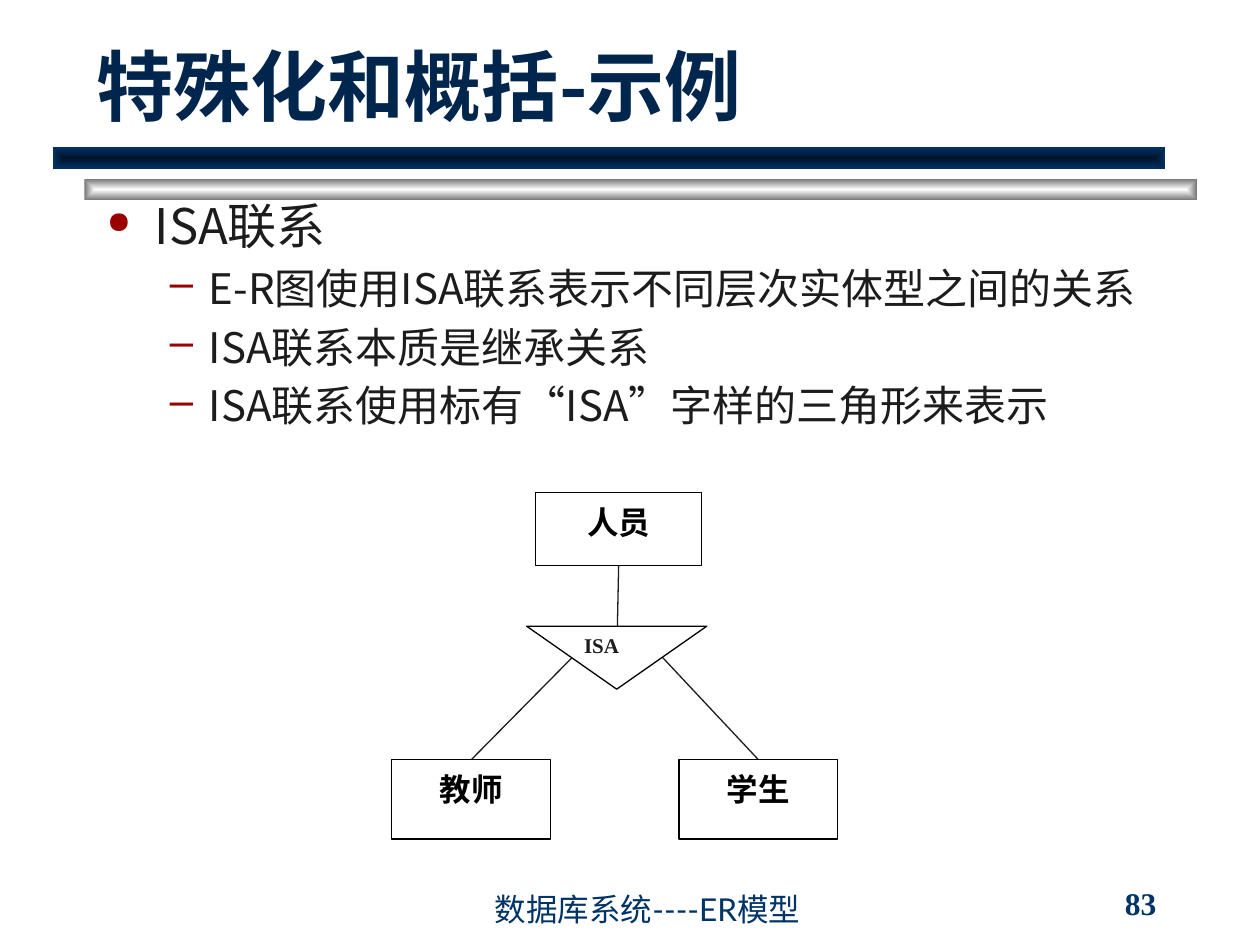
from dataclasses import dataclass

from lxml.etree import SubElement
from pptx import Presentation
from pptx.dml.color import RGBColor
from pptx.enum.shapes import MSO_CONNECTOR as Connector, MSO_SHAPE as Preset
from pptx.enum.text import MSO_ANCHOR as Anchor, PP_ALIGN as Align
from pptx.oxml import parse_xml
from pptx.oxml.ns import nsdecls, qn
from pptx.util import Inches, Pt

COLORS = {
    "title": "00264D",
    "navy": "003366",
    "deep_navy": "00142A",
    "gray": "767676",
    "white": "FFFFFF",
    "black": "000000",
    "ink": "1C1C1C",
    "bullet": "990000",
}
SERIF = "Times New Roman"
SANS = "Noto Sans CJK SC"
INSETS = (0.1, 0.05, 0.1, 0.05)


@dataclass
class Box:
    left: float
    top: float
    width: float
    height: float

    def lengths(self):
        return [Inches(v) for v in (self.left, self.top, self.width, self.height)]


@dataclass
class Bar:
    box: Box
    center: str
    edge: str


@dataclass
class Node:
    text: str
    box: Box
    preset: Preset = Preset.RECTANGLE
    size: int = 18
    color: str = "black"
    align: Align = Align.CENTER
    insets: tuple = (0, 0.08, 0, 0.05)


@dataclass
class Link:
    start: tuple
    end: tuple


@dataclass
class Level:
    margin: float
    indent: float
    symbol: str
    percent: int
    size: int


@dataclass
class Bullet:
    text: str
    level: int


BARS = [
    Bar(Box(0.67, 1.42, 8.83, 0.17), "white", "gray"),
    Bar(Box(0.42, 1.17, 8.83, 0.17), "deep_navy", "navy"),
]
LEVELS = [Level(0.38, -0.38, "●", 62, 28), Level(0.81, -0.31, "–", 100, 24)]
BULLETS = [
    Bullet("ISA联系", 0),
    Bullet("E-R图使用ISA联系表示不同层次实体型之间的关系", 1),
    Bullet("ISA联系本质是继承关系", 1),
    Bullet("ISA联系使用标有“ISA”字样的三角形来表示", 1),
]
LINKS = [
    Link((4.91, 4.49), (4.9, 4.97)),
    Link((5.26, 5.22), (6.02, 6.03)),
    Link((4.54, 5.22), (3.74, 6.03)),
]
NODES = [
    Node("人员", Box(4.25, 3.91, 1.32, 0.58)),
    Node("教师", Box(3.11, 6.03, 1.26, 0.63)),
    Node("学生", Box(5.39, 6.03, 1.26, 0.63)),
    Node("ISA", Box(4.18, 4.97, 1.43, 0.5), Preset.FLOWCHART_MERGE, 12, "ink",
         Align.LEFT, INSETS),
]


def rgb(name: str) -> RGBColor:
    return RGBColor.from_string(COLORS[name])


def write(paragraph, text: str, *, size: int, font: str, color: str, east_asian: str = "",
          bold: bool = False, align: Align = Align.LEFT) -> None:
    paragraph.alignment = align
    run = paragraph.add_run()
    run.text = text
    run.font.size = Pt(size)
    run.font.bold = bold
    run.font.name = font
    run.font.color.rgb = rgb(color)
    SubElement(run.font._element, qn("a:ea"), typeface=east_asian or font)


def set_frame(frame, insets: tuple = INSETS, anchor: Anchor = Anchor.TOP) -> None:
    frame.word_wrap = True
    frame.vertical_anchor = anchor
    frame.margin_left, frame.margin_top, frame.margin_right, frame.margin_bottom = map(Inches, insets)


def add_label(slide, text: str, box: Box, *, anchor: Anchor = Anchor.BOTTOM, **style) -> None:
    frame = slide.shapes.add_textbox(*box.lengths()).text_frame
    set_frame(frame, anchor=anchor)
    write(frame.paragraphs[0], text, **style)


def add_bar(slide, bar: Bar) -> None:
    shape = slide.shapes.add_shape(Preset.RECTANGLE, *bar.box.lengths())
    shape.shadow.inherit = False
    shape.line.fill.background()
    gradient = parse_xml(
        f'<a:gradFill {nsdecls("a")} rotWithShape="1"><a:gsLst>'
        f'<a:gs pos="0"><a:srgbClr val="{COLORS[bar.center]}"/></a:gs>'
        f'<a:gs pos="100000"><a:srgbClr val="{COLORS[bar.edge]}"/></a:gs></a:gsLst>'
        '<a:path path="shape"><a:fillToRect l="50000" t="50000" r="50000" b="50000"/></a:path>'
        '</a:gradFill>'
    )
    shape._element.spPr.find(qn("a:prstGeom")).addnext(gradient)


def add_node(slide, node: Node) -> None:
    shape = slide.shapes.add_shape(node.preset, *node.box.lengths())
    shape.shadow.inherit = False
    shape.fill.solid()
    shape.fill.fore_color.rgb = rgb("white")
    shape.line.color.rgb = rgb("black")
    shape.line.width = Pt(0.75)
    set_frame(shape.text_frame, node.insets)
    write(shape.text_frame.paragraphs[0], node.text, size=node.size, font=SERIF,
          east_asian=SANS, color=node.color, bold=True, align=node.align)


def add_link(slide, link: Link) -> None:
    points = [Inches(v) for v in (*link.start, *link.end)]
    connector = slide.shapes.add_connector(Connector.STRAIGHT, *points)
    connector.line.color.rgb = rgb("ink")
    connector.line.width = Pt(0.75)
    SubElement(connector._element.spPr, qn("a:effectLst"))


def add_bullets(slide, bullets: list, box: Box) -> None:
    frame = slide.shapes.add_textbox(*box.lengths()).text_frame
    set_frame(frame)
    for index, bullet in enumerate(bullets):
        level = LEVELS[bullet.level]
        paragraph = frame.add_paragraph() if index else frame.paragraphs[0]
        paragraph.level = bullet.level
        properties = paragraph._p.get_or_add_pPr()
        properties.set("marL", str(Inches(level.margin)))
        properties.set("indent", str(Inches(level.indent)))
        color = SubElement(properties, qn("a:buClr"))
        SubElement(color, qn("a:srgbClr"), val=COLORS["bullet"])
        SubElement(properties, qn("a:buSzPct"), val=str(level.percent * 1000))
        SubElement(properties, qn("a:buChar"), char=level.symbol)
        paragraph.space_before = Pt(4.8 if index else 0)
        write(paragraph, bullet.text, size=level.size, font="Noto Sans CJK JP",
              color="ink", align=Align.JUSTIFY)


def main() -> None:
    presentation = Presentation()
    presentation.slide_width, presentation.slide_height = Inches(10), Inches(7.5)
    slide = presentation.slides.add_slide(presentation.slide_layouts[6])
    for bar in BARS:
        add_bar(slide, bar)
    add_label(slide, "特殊化和概括-示例", Box(0.67, 0.42, 8.5, 0.67),
              size=44, font=SANS, color="title", bold=True)
    add_bullets(slide, BULLETS, Box(0.75, 1.5, 8.5, 5.33))
    for link in LINKS:
        add_link(slide, link)
    for node in NODES:
        add_node(slide, node)
    add_label(slide, "数据库系统----ER模型", Box(3.83, 7.08, 4.08, 0.33),
              size=18, font="Lato", color="navy")
    add_label(slide, "83", Box(8.83, 7, 1.08, 0.33), anchor=Anchor.MIDDLE,
              size=18, font=SERIF, color="navy", bold=True)
    presentation.save("out.pptx")


if __name__ == "__main__":
    main()
